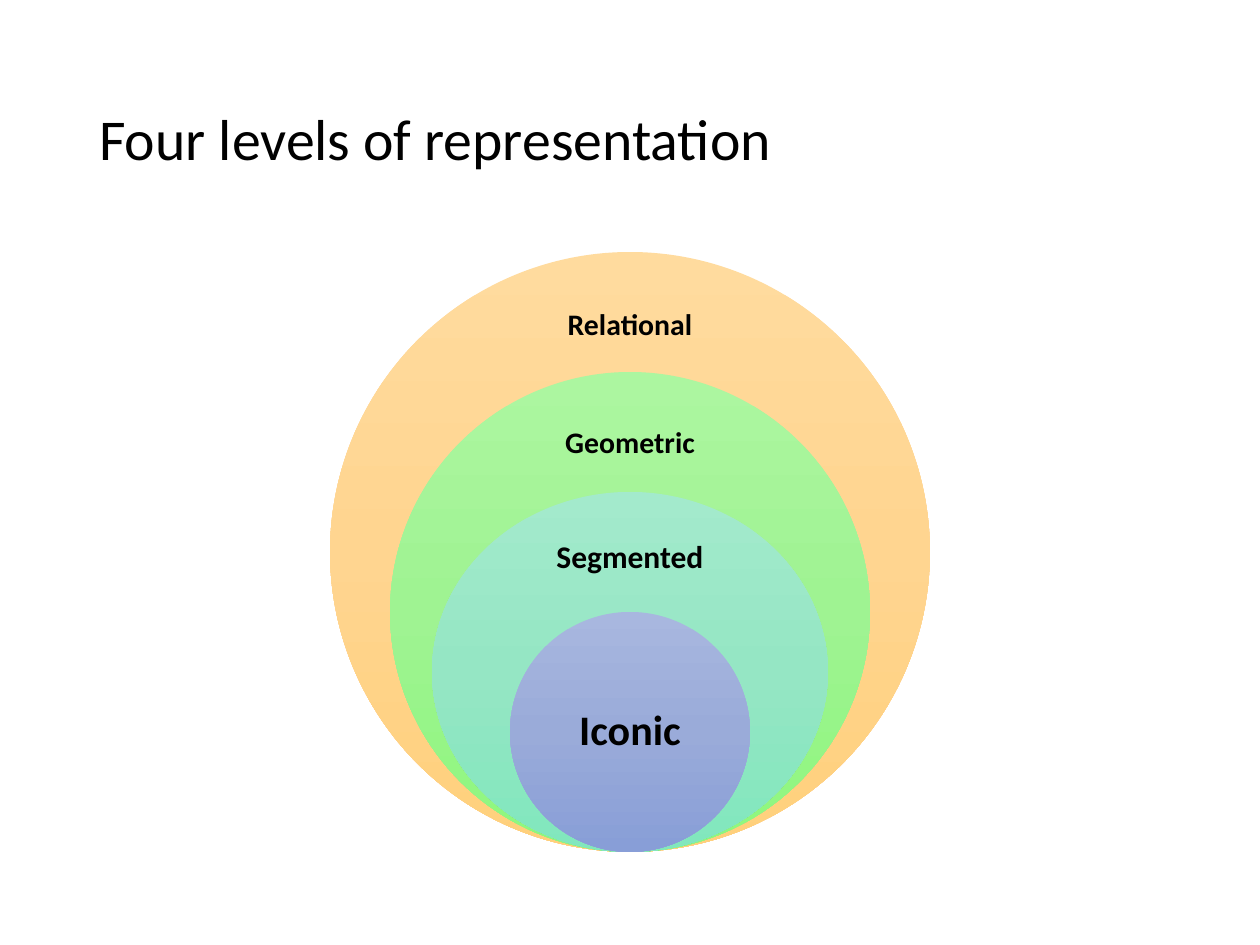
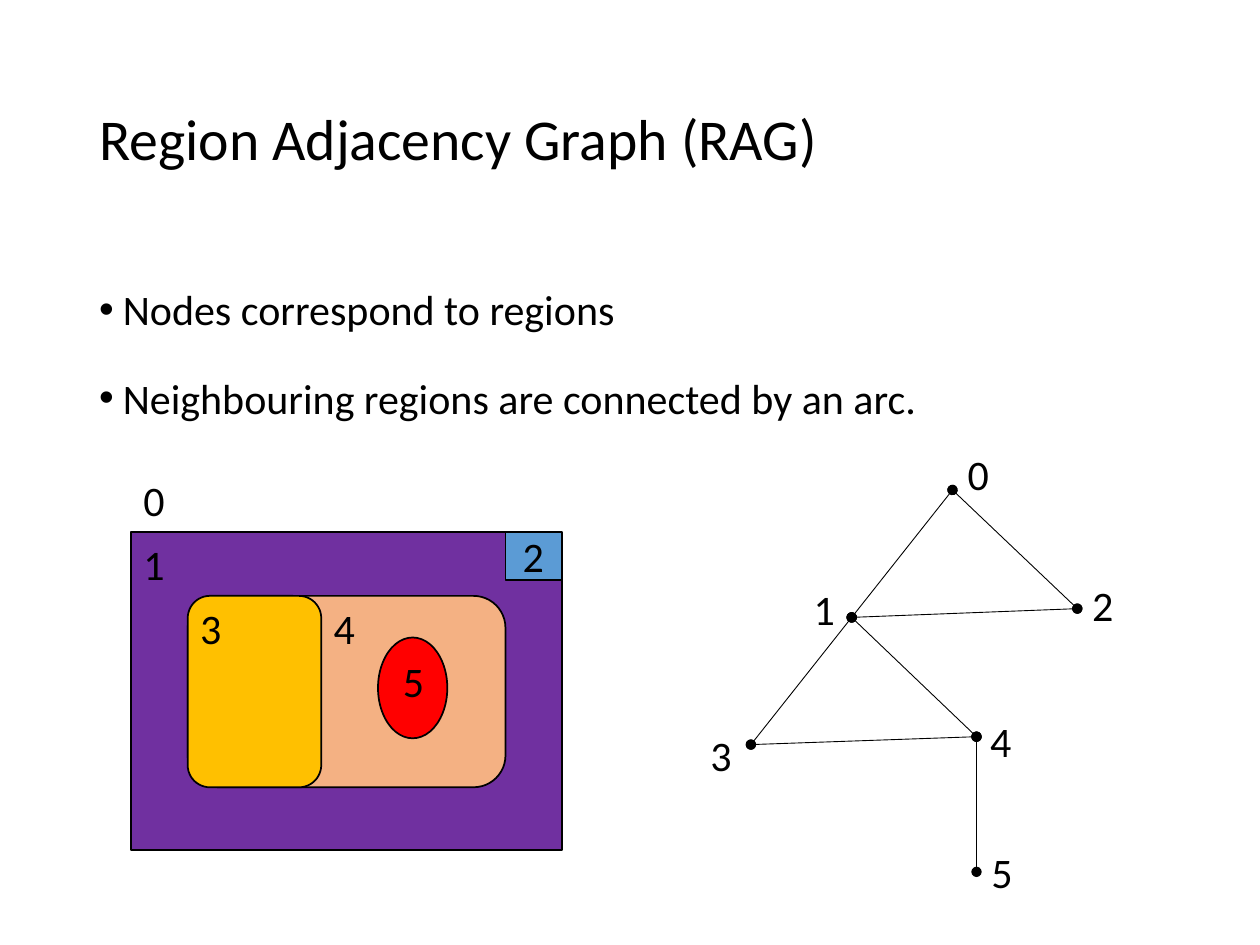
from copy import deepcopy
from dataclasses import dataclass

from lxml.etree import SubElement
from pptx import Presentation
from pptx.dml.color import RGBColor
from pptx.enum.shapes import MSO_CONNECTOR, MSO_SHAPE
from pptx.enum.text import MSO_ANCHOR, MSO_AUTO_SIZE, PP_ALIGN
from pptx.oxml.ns import qn
from pptx.util import Pt


@dataclass(frozen=True)
class Theme:
    """Colours, font and type sizes shared by the slides."""
    font: str = "Calibri"
    ink: str = "000000"
    title: int = 33
    text: int = 24
    ring_text: tuple = (17, 17, 18, 24)
    rings: tuple = (
        ("FFDB9E", "FFD590", "FFD07C"),
        ("ACF6A0", "9FF392", "8EF77D"),
        ("A3EACC", "95E6C4", "81E7BD"),
        ("A8B7DF", "9AABD9", "889ED7"),
    )
    purple: str = "7030A0"
    peach: str = "F4B183"
    red: str = "FF0000"
    gold: str = "FFC000"
    blue: str = "5B9BD5"


THEME = Theme()
INK = RGBColor.from_string(THEME.ink)
LEFT, WIDTH = Pt(49.5), Pt(621)

prs = Presentation()
prs.slide_width, prs.slide_height = Pt(720), Pt(540)


def style(p, size, bold=False, align=PP_ALIGN.LEFT):
    """Give a paragraph the theme font and ink colour."""
    p.font.name, p.font.size, p.font.bold = THEME.font, Pt(size), bold
    p.font.color.rgb = INK
    p.alignment = align


def add_label(shapes, text, x, y):
    """Add a one-digit region label at the given top left corner."""
    tf = shapes.add_textbox(Pt(x), Pt(y), Pt(26.6), Pt(36)).text_frame
    tf.word_wrap = False
    tf.auto_size = MSO_AUTO_SIZE.SHAPE_TO_FIT_TEXT
    tf.text = text
    style(tf.paragraphs[0], THEME.text)


# Both slides, with their titles
slides = []
for layout, heading in ((5, "Four levels of representation"),
                        (1, "Region Adjacency Graph (RAG)")):
    s = prs.slides.add_slide(prs.slide_layouts[layout])
    title = s.shapes.title
    title.left, title.top, title.width, title.height = LEFT, Pt(28.8), WIDTH, Pt(104.4)
    tf = title.text_frame
    tf.text = heading
    tf.auto_size = MSO_AUTO_SIZE.NONE
    tf.vertical_anchor = MSO_ANCHOR.MIDDLE
    style(tf.paragraphs[0], THEME.title)
    tf.paragraphs[0].line_spacing = 0.9
    slides.append(s)
levels, rag = slides

# Slide 1: nested ellipses that touch at the bottom
CENTRE, TOP, OUTER = 360, 144, 342.8
LABEL_W, LABEL_H = 106, 50
rings = (  # name, height share, width share, label centre
    ("Relational", 1, 1, 186.1),
    ("Geometric", 0.8, 0.8, 253.8),
    ("Segmented", 0.6, 0.66, 319),
    ("Iconic", 0.4, 0.4, 418),
)
shapes = levels.shapes.add_group_shape().shapes
for (name, tall, wide, middle), colours, size in zip(rings, THEME.rings, THEME.ring_text):
    w, h = OUTER * wide, OUTER * tall
    sp = shapes.add_shape(MSO_SHAPE.OVAL, Pt(CENTRE - w / 2), Pt(TOP + OUTER - h), Pt(w), Pt(h))
    sp.shadow.inherit = False
    sp.line.fill.background()
    sp.fill.gradient()
    sp.fill.gradient_angle = 270
    stops = sp._element.spPr.find(".//" + qn("a:gsLst"))
    stops.insert(1, deepcopy(stops[0]))
    for stop, colour, position in zip(sp.fill.gradient_stops, colours, (0, 0.5, 1)):
        stop.color.rgb = RGBColor.from_string(colour)
        stop.position = position

    box = shapes.add_textbox(Pt(CENTRE - LABEL_W / 2), Pt(middle - LABEL_H / 2),
                             Pt(LABEL_W), Pt(LABEL_H))
    tf = box.text_frame
    tf.word_wrap = True
    tf.margin_left = tf.margin_right = tf.margin_top = tf.margin_bottom = 0
    tf.vertical_anchor = MSO_ANCHOR.MIDDLE
    tf.text = name
    style(tf.paragraphs[0], size, bold=True, align=PP_ALIGN.CENTER)
    tf.paragraphs[0].line_spacing = 0.9

# Slide 2: bullets
body = rag.placeholders[1]
body.left, body.top, body.width, body.height = LEFT, Pt(144), WIDTH, Pt(82)
tf = body.text_frame
tf.text = "Nodes correspond to regions\nNeighbouring regions are connected by an arc."
tf.auto_size = MSO_AUTO_SIZE.NONE
for p in tf.paragraphs:
    style(p, THEME.text)
    p.line_spacing, p.space_before = 1.5, Pt(7.5)
    pPr = p._p.get_or_add_pPr()
    pPr.set("marL", str(Pt(13.5)))
    pPr.set("indent", str(-Pt(13.5)))

# Slide 2: image regions
regions = (
    (MSO_SHAPE.RECTANGLE, THEME.purple, 74.9, 304.2, 246.4, 181.6),
    (MSO_SHAPE.ROUNDED_RECTANGLE, THEME.peach, 107.3, 340.5, 181.6, 109.4),
    (MSO_SHAPE.OVAL, THEME.red, 216, 364.3, 39.6, 57.6),
    (MSO_SHAPE.ROUNDED_RECTANGLE, THEME.gold, 107.3, 340.5, 76.3, 109.4),
    (MSO_SHAPE.RECTANGLE, THEME.blue, 288.9, 304.2, 32.4, 27.4),
)
shapes = rag.shapes.add_group_shape().shapes
for kind, colour, x, y, w, h in regions:
    sp = shapes.add_shape(kind, Pt(x), Pt(y), Pt(w), Pt(h))
    sp.shadow.inherit = False
    sp.fill.solid()
    sp.fill.fore_color.rgb = RGBColor.from_string(colour)
    sp.line.color.rgb, sp.line.width = INK, Pt(1)

region_labels = ((74.9, 267.9), (74.9, 304), (291.6, 299.5),
                 (107.3, 340.5), (183.6, 340.5), (223.2, 370.8))
for number, (x, y) in enumerate(region_labels):
    add_label(shapes, str(number), x, y)

# Slide 2: adjacency graph
nodes = ((544.3, 280), (486.7, 352.8), (615.6, 347.8),
         (429.1, 425.5), (558, 421), (558, 498.2))
arcs = ((1, 0), (0, 2), (1, 2), (3, 1), (1, 4), (3, 4), (5, 4))
node_labels = ((545.8, 252.7), (457.9, 329.8), (617, 327.6),
               (398.9, 413.3), (558.7, 405.4), (559.4, 480.2))
shapes = rag.shapes.add_group_shape().shapes
for start, end in arcs:
    line = shapes.add_connector(MSO_CONNECTOR.STRAIGHT,
                                *(Pt(v) for v in nodes[start] + nodes[end]))
    line.line.color.rgb, line.line.width = INK, Pt(0.5)
    spPr = line._element.spPr
    for tag in ("a:headEnd", "a:tailEnd"):
        SubElement(spPr.find(qn("a:ln")), qn(tag), type="oval")
    SubElement(spPr, qn("a:effectLst"))
for number, (x, y) in enumerate(node_labels):
    add_label(shapes, str(number), x, y)

prs.save("out.pptx")
